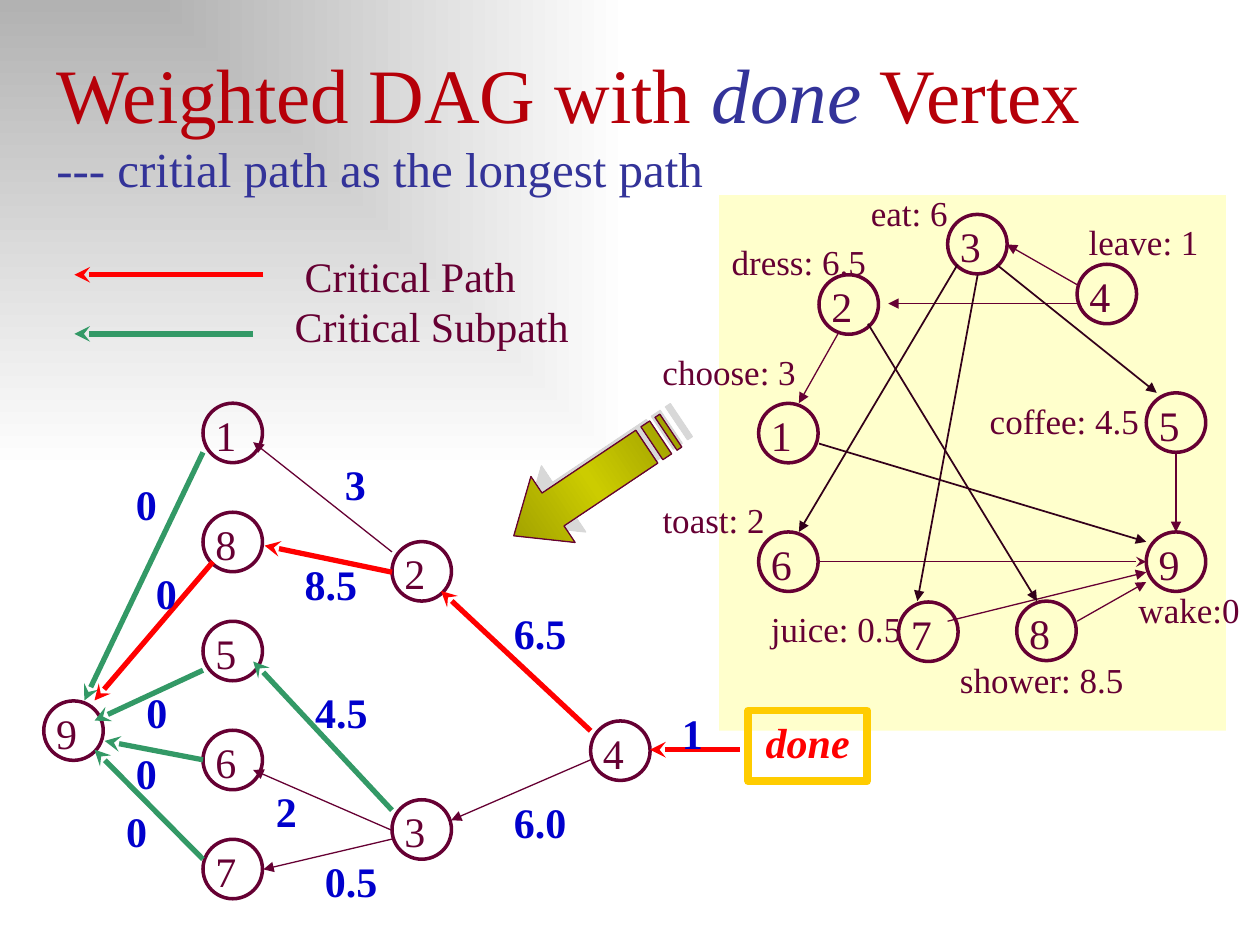
from typing import NamedTuple

from lxml import etree
from pptx import Presentation
from pptx.dml.color import RGBColor
from pptx.enum.shapes import MSO_CONNECTOR, MSO_SHAPE
from pptx.enum.text import MSO_ANCHOR, MSO_AUTO_SIZE, PP_ALIGN
from pptx.oxml.ns import qn
from pptx.util import Pt

FONT = "Times New Roman"
STRAIGHT = MSO_CONNECTOR.STRAIGHT
RECTANGLE, OVAL = MSO_SHAPE.RECTANGLE, MSO_SHAPE.OVAL
LEFT, CENTER = PP_ALIGN.LEFT, PP_ALIGN.CENTER
TOP, BOTTOM = MSO_ANCHOR.TOP, MSO_ANCHOR.BOTTOM
GROW = MSO_AUTO_SIZE.SHAPE_TO_FIT_TEXT

WINE = RGBColor(0x66, 0x00, 0x33)
DARK_WINE = RGBColor(0x33, 0x00, 0x1A)
RED = RGBColor(0xFF, 0x00, 0x00)
GREEN = RGBColor(0x33, 0x99, 0x66)
BLUE = RGBColor(0x00, 0x00, 0xCC)
NAVY = RGBColor(0x33, 0x33, 0x99)
TITLE_RED = RGBColor(0xB6, 0x00, 0x09)
CREAM = RGBColor(0xFF, 0xFF, 0xCC)
GOLD = RGBColor(0xFF, 0xCC, 0x00)
OLIVE = RGBColor(0x92, 0x92, 0x00)
YELLOW = RGBColor(0xCC, 0xCC, 0x00)
GRAY = RGBColor(0xB2, 0xB2, 0xB2)
WHITE = RGBColor(0xFF, 0xFF, 0xFF)

NODE_SIZE = 34


class EdgeStyle(NamedTuple):
    color: RGBColor
    width: float
    arrowhead: str


class Edge(NamedTuple):
    x1: float
    y1: float
    x2: float
    y2: float
    style: EdgeStyle


class Label(NamedTuple):
    text: str
    left: float
    top: float
    width: float


class Node(NamedTuple):
    number: str
    left: float
    top: float


THIN = EdgeStyle(WINE, 0.75, "triangle")
THIN_STEALTH = EdgeStyle(WINE, 0.75, "stealth")
DARK = EdgeStyle(DARK_WINE, 1, "triangle")
CRITICAL = EdgeStyle(RED, 3, "stealth")
SUBPATH = EdgeStyle(GREEN, 3, "stealth")

TASK_NODES = [
    Node("3", 541.5, 122.5), Node("2", 468, 157), Node("4", 615.5, 151),
    Node("1", 433.5, 230.5), Node("6", 433.5, 304), Node("7", 513.5, 344),
    Node("8", 581, 343.5), Node("5", 655, 224.5), Node("9", 655, 304),
]
TASK_EDGES = [
    Edge(615.5, 162.7, 575.3, 139.7, THIN), Edge(478.8, 190.8, 456.5, 230.4, THIN),
    Edge(615.5, 173.5, 507.6, 173.5, THIN), Edge(547.2, 151.2, 456.5, 304, DARK),
    Edge(615.5, 355, 655, 332.6, THIN), Edge(541.5, 355, 655, 327, THIN),
    Edge(468, 321, 655, 321, THIN_STEALTH), Edge(468, 253.5, 655, 309.6, DARK),
    Edge(672, 258.5, 672, 304, THIN), Edge(569.5, 151.2, 661, 224.5, DARK),
    Edge(558.7, 157, 524.2, 343.5, DARK), Edge(496, 185, 592.6, 343.5, DARK),
]
TASK_LABELS = [
    Label("dress: 6.5", 411, 134, 108), Label("leave: 1", 615, 122.5, 79),
    Label("eat: 6", 490.5, 106, 73.5), Label("choose: 3", 371.5, 196.5, 102),
    Label("shower: 8.5", 541.5, 372.5, 119), Label("wake:0", 643.5, 332.5, 96.5),
    Label("coffee: 4.5", 558.5, 224.5, 152.5), Label("toast: 2", 371.5, 281.5, 147.5),
    Label("juice: 0.5", 433.5, 343.5, 136),
]
COLUMN_NODES = [Node(number, 116, 230.4 + 62.3 * row) for row, number in enumerate("18567")]
PATH_NODES = COLUMN_NODES + [
    Node("9", 25, 400.5), Node("3", 224, 457), Node("2", 224, 309.5), Node("4", 337.5, 412),
]
PATH_EDGES = [
    Edge(116, 258.5, 48.2, 400.3, SUBPATH), Edge(121.7, 321, 54, 400.3, CRITICAL),
    Edge(116, 383, 54, 411.8, SUBPATH), Edge(116, 434.2, 59.8, 423.4, SUBPATH),
    Edge(116, 491, 54, 428.4, SUBPATH), Edge(224, 315.4, 144.7, 252.7, THIN),
    Edge(224, 327, 151.2, 311.8, CRITICAL), Edge(224, 463, 144.7, 378, SUBPATH),
    Edge(224, 479.5, 150.5, 496.8, THIN), Edge(224, 474.5, 144.7, 440, THIN),
    Edge(337.5, 417.6, 252, 337.7, CRITICAL), Edge(337.5, 434.2, 257.8, 468.7, THIN),
    Edge(422.6, 428.4, 371.5, 428.4, CRITICAL),
]
LEGEND_EDGES = [Edge(150.5, 157, 42.5, 157, CRITICAL), Edge(144.7, 190.8, 42.5, 190.8, SUBPATH)]
LEGEND_LABELS = [Label("Critical Path", 167, 139.7, 176), Label("Critical Subpath", 161.3, 168, 176)]
WEIGHTS = [
    Label(text, left, top, 51) for text, left, top in [
        ("0", 65, 457), ("0", 70.5, 423.5), ("8.5", 167, 315.5), ("0.5", 178.5, 485.5),
        ("4.5", 173, 389), ("6.0", 286.5, 451.5), ("6.5", 286.5, 343.5), ("3", 190, 258.5),
        ("1", 382.5, 400.5), ("0", 76.5, 389), ("0", 82, 321), ("0", 70.5, 270), ("2", 150.5, 445.5),
    ]
]
# Contours of the striped block arrow, pointing right before its rotation
ARROW_CONTOURS = [
    [(81, 0), (81, 11.4), (16.5, 11.4), (16.5, 34), (81, 34), (81, 45.4), (108, 22.7)],
    [(7, 11.4), (7, 34), (13, 34), (13, 11.4)],
    [(0, 11.4), (0, 34), (3.3, 34), (3.3, 11.4)],
]


def add_run(paragraph, text: str, *, size: float, color: RGBColor, bold=False, italic=False):
    run = paragraph.add_run()
    run.text = text
    font = run.font
    font.name, font.size, font.bold, font.italic = FONT, Pt(size), bold, italic
    font.color.rgb = color


def write_text(shape, text: str, *, align=LEFT, **run_format):
    frame = shape.text_frame
    frame.word_wrap, frame.auto_size, frame.vertical_anchor = True, GROW, TOP
    paragraph = frame.paragraphs[0]
    paragraph.alignment = align
    spacing = etree.SubElement(paragraph._p.get_or_add_pPr(), qn("a:spcBef"))
    etree.SubElement(spacing, qn("a:spcPct"), val="50000")
    add_run(paragraph, text, **run_format)


def add_labels(slide, labels: list[Label], height: float, **run_format):
    for label in labels:
        box = slide.shapes.add_textbox(Pt(label.left), Pt(label.top), Pt(label.width), Pt(height))
        write_text(box, label.text, **run_format)


def add_outline(shapes, kind, left, top, width, height, color: RGBColor, weight: float):
    """Add an unfilled shape with a coloured border."""
    shape = shapes.add_shape(kind, Pt(left), Pt(top), Pt(width), Pt(height))
    shape.shadow.inherit = False
    shape.fill.background()
    shape.line.color.rgb, shape.line.width = color, Pt(weight)
    return shape


def add_nodes(slide, nodes: list[Node]):
    for node in nodes:
        group = slide.shapes.add_group_shape()
        add_outline(group.shapes, OVAL, node.left, node.top, NODE_SIZE, NODE_SIZE, WINE, 2)
        box = group.shapes.add_textbox(Pt(node.left), Pt(node.top), Pt(28), Pt(36))
        write_text(box, node.number, size=24, color=WINE)


def add_edges(slide, edges: list[Edge]):
    for edge in edges:
        connector = slide.shapes.add_connector(
            STRAIGHT, Pt(edge.x1), Pt(edge.y1), Pt(edge.x2), Pt(edge.y2))
        line = connector.line
        line.color.rgb, line.width = edge.style.color, Pt(edge.style.width)
        etree.SubElement(line._get_or_add_ln(), qn("a:tailEnd"), type=edge.style.arrowhead)
        etree.SubElement(connector._element.spPr, qn("a:effectLst"))


def set_gradient(owner, fill, stops: list[tuple[int, RGBColor]]):
    """Fill with the given stops and return the XML element for its direction."""
    fill.gradient()
    gradient = owner._element.find(".//" + qn("a:gradFill"))
    gradient.clear()
    gradient.set("rotWithShape", "1")
    stop_list = etree.SubElement(gradient, qn("a:gsLst"))
    for percent, color in stops:
        stop = etree.SubElement(stop_list, qn("a:gs"), pos=str(percent * 1000))
        etree.SubElement(stop, qn("a:srgbClr"), val=str(color))
    return gradient


def add_block_arrow(slide):
    contours = [[(Pt(x), Pt(y)) for x, y in contour] for contour in ARROW_CONTOURS]
    builder = slide.shapes.build_freeform(*contours[0][0], scale=1.0)
    builder.add_line_segments(contours[0][1:], close=True)
    for contour in contours[1:]:
        builder.move_to(*contour[0])
        builder.add_line_segments(contour[1:], close=True)
    arrow = builder.convert_to_shape(Pt(284.4), Pt(253.4))
    arrow.rotation = 146.2
    arrow.line.color.rgb, arrow.line.width = WINE, Pt(0.75)
    gradient = set_gradient(arrow, arrow.fill, [(0, OLIVE), (50, YELLOW), (100, OLIVE)])
    etree.SubElement(gradient, qn("a:lin"), ang="0", scaled="1")
    arrow.shadow.inherit = False
    effects = arrow._element.spPr.find(qn("a:effectLst"))
    shadow = etree.SubElement(effects, qn("a:outerShdw"), blurRad="0", dist=str(Pt(8.5)),
                              dir=str(315 * 60000), algn="ctr", rotWithShape="0")
    color = etree.SubElement(shadow, qn("a:srgbClr"), val=str(GRAY))
    etree.SubElement(color, qn("a:alpha"), val="50000")


def fill_title(title):
    title.left, title.top, title.width, title.height = Pt(25), Pt(22.5), Pt(680), Pt(94)
    title.text_frame.vertical_anchor = BOTTOM
    title.text_frame.auto_size = GROW
    paragraph = title.text_frame.paragraphs[0]
    paragraph.alignment = LEFT
    add_run(paragraph, "Weighted DAG with ", size=44, color=TITLE_RED)
    add_run(paragraph, "done", size=44, color=NAVY, italic=True)
    add_run(paragraph, " Vertex", size=44, color=TITLE_RED)
    paragraph.add_line_break()
    add_run(paragraph, "--- critial path as the longest path", size=28, color=NAVY)


def main():
    presentation = Presentation()
    presentation.slide_width, presentation.slide_height = Pt(720), Pt(540)
    slide = presentation.slides.add_slide(presentation.slide_layouts[5])
    gradient = set_gradient(slide, slide.background.fill, [(0, GRAY), (100, WHITE)])
    shade = etree.SubElement(gradient, qn("a:path"), path="rect")
    etree.SubElement(shade, qn("a:fillToRect"), r="100000", b="100000")

    panel = slide.shapes.add_shape(RECTANGLE, Pt(411), Pt(111.5), Pt(289.5), Pt(306))
    panel.shadow.inherit = False
    panel.fill.solid()
    panel.fill.fore_color.rgb = CREAM
    panel.line.fill.background()
    fill_title(slide.shapes.title)

    add_nodes(slide, TASK_NODES)
    add_edges(slide, TASK_EDGES)
    add_labels(slide, TASK_LABELS, 31, size=20, color=WINE)
    add_nodes(slide, PATH_NODES)
    add_edges(slide, PATH_EDGES)
    done = add_outline(slide.shapes, RECTANGLE, 427.7, 406, 67.7, 40.5, GOLD, 4.5)
    write_text(done, "done", align=CENTER, size=24, color=RED, bold=True, italic=True)
    add_labels(slide, WEIGHTS, 36, size=24, color=BLUE, bold=True)
    add_edges(slide, LEGEND_EDGES)
    add_labels(slide, LEGEND_LABELS, 36, size=24, color=WINE)
    add_block_arrow(slide)
    presentation.save("out.pptx")


if __name__ == "__main__":
    main()
